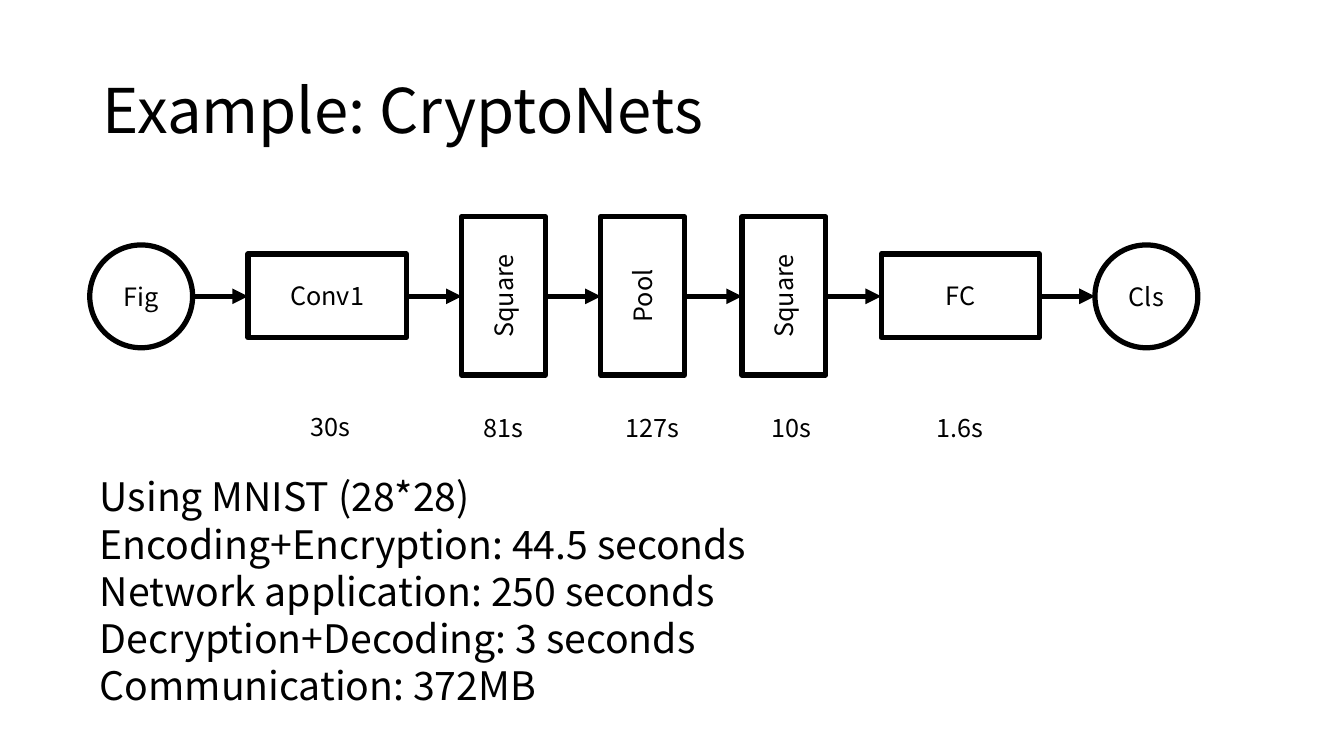
"""Build the CryptoNets timing slide."""
import itertools

import lxml.etree
import pptx
import pptx.dml.color
import pptx.enum.shapes
import pptx.enum.text
import pptx.oxml.ns
import pptx.util

BLACK = pptx.dml.color.RGBColor(0x00, 0x00, 0x00)
WHITE = pptx.dml.color.RGBColor(0xFF, 0xFF, 0xFF)
SHAPES = pptx.enum.shapes.MSO_SHAPE
ALIGN = pptx.enum.text.PP_ALIGN
ANCHOR = pptx.enum.text.MSO_ANCHOR
FIT = pptx.enum.text.MSO_AUTO_SIZE

AXIS_Y = 294
CIRCLE = 102
LONG, SHORT = 157, 83
NODES = [
    ("Fig", "circle", 89),
    ("Conv1", "wide", 246),
    ("Square", "tall", 458),
    ("Pool", "tall", 596),
    ("Square", "tall", 736),
    ("FC", "wide", 874),
    ("Cls", "circle", 1086),
]
WIDTHS = {"circle": CIRCLE, "wide": LONG, "tall": SHORT}
SITES = {"wide": (1, 3), "tall": (0, 2)}
TIMES = [
    ("30s", 255, 403, 145),
    ("81s", 427, 404, 145),
    ("127s", 599, 404, 96),
    ("10s", 712, 404, 145),
    ("1.6s", 880, 404, 145),
]
RESULTS = [
    "Using MNIST (28*28)",
    "Encoding+Encryption: 44.5 seconds",
    "Network application: 250 seconds",
    "Decryption+Decoding: 3 seconds",
    "Communication: 372MB",
]


def px(n):
    return pptx.util.Emu(n * 9144)


def write(tf, *lines, size=18, align=ALIGN.CENTER, anchor=ANCHOR.MIDDLE,
          spacing=None, fit=FIT.NONE, font="Noto Sans CJK SC"):
    tf.word_wrap = True
    tf.auto_size = fit
    tf.vertical_anchor = anchor
    for i, line in enumerate(lines):
        p = tf.add_paragraph() if i else tf.paragraphs[0]
        p.alignment = align
        p.space_before = pptx.util.Pt(0)
        if spacing:
            p.line_spacing = spacing
        r = p.add_run()
        r.text = line
        r.font.name = font
        r.font.size = pptx.util.Pt(size)
        r.font.color.rgb = BLACK


class Deck:
    def __init__(self):
        self.prs = pptx.Presentation()
        self.prs.slide_width = px(1333)
        self.prs.slide_height = px(750)
        self.line_width = pptx.util.Pt(3.75)
        self.slide = self.prs.slides.add_slide(self.prs.slide_layouts[1])

    def place(self, sp, left, top, width, height):
        sp.left, sp.top = px(left), px(top)
        sp.width, sp.height = px(width), px(height)

    def title(self, text, *box):
        sp = self.slide.shapes.title
        self.place(sp, *box)
        write(sp.text_frame, text, size=44, align=ALIGN.LEFT, spacing=0.9)

    def body(self, lines, *box):
        sp = self.slide.placeholders[1]
        self.place(sp, *box)
        write(sp.text_frame, *lines, size=28, align=ALIGN.LEFT,
              anchor=ANCHOR.TOP, fit=FIT.SHAPE_TO_FIT_TEXT)
        for p in sp.text_frame.paragraphs:
            pPr = p._p.get_or_add_pPr()
            pPr.set("marL", "0")
            pPr.set("indent", "0")
            lxml.etree.SubElement(pPr, pptx.oxml.ns.qn("a:buNone"))

    def node(self, text, kind, left):
        if kind == "circle":
            shape, top, width, height = SHAPES.OVAL, AXIS_Y - CIRCLE // 2, CIRCLE, CIRCLE
        else:
            shape, top, width, height = SHAPES.RECTANGLE, AXIS_Y - 42, LONG, SHORT
        left -= (width - WIDTHS[kind]) // 2
        sp = self.slide.shapes.add_shape(
            shape, px(left), px(top), px(width), px(height))
        sp.rotation = 270 if kind == "tall" else 0
        sp.shadow.inherit = False
        sp.fill.solid()
        sp.fill.fore_color.rgb = WHITE
        sp.line.color.rgb = BLACK
        sp.line.width = self.line_width
        write(sp.text_frame, text)
        return sp

    def arrow(self, x1, x2, start=None, end=None):
        cxn = self.slide.shapes.add_connector(
            pptx.enum.shapes.MSO_CONNECTOR.STRAIGHT,
            px(x1), px(AXIS_Y), px(x2), px(AXIS_Y))
        if start:
            cxn.begin_connect(*start)
        if end:
            cxn.end_connect(*end)
        cxn.begin_x, cxn.begin_y = px(x1), px(AXIS_Y)
        cxn.end_x, cxn.end_y = px(x2), px(AXIS_Y)
        cxn.line.color.rgb = BLACK
        cxn.line.width = self.line_width
        lxml.etree.SubElement(
            cxn.line._get_or_add_ln(), pptx.oxml.ns.qn("a:tailEnd"), type="triangle")
        lxml.etree.SubElement(
            cxn._element.spPr, pptx.oxml.ns.qn("a:effectLst"))

    def label(self, text, left, top, width):
        sp = self.slide.shapes.add_textbox(px(left), px(top), px(width), px(40))
        write(sp.text_frame, text, anchor=ANCHOR.TOP, fit=FIT.SHAPE_TO_FIT_TEXT)


def main():
    deck = Deck()
    deck.title("Example: CryptoNets", 92, 40, 1150, 145)
    deck.body(RESULTS, 89, 464, 666, 246)
    layers = [(deck.node(*node), *node[1:]) for node in NODES]
    for (sp1, kind1, left1), (sp2, kind2, left2) in itertools.pairwise(layers):
        start = (sp1, SITES[kind1][1]) if kind1 in SITES else None
        end = (sp2, SITES[kind2][0]) if kind2 in SITES else None
        deck.arrow(left1 + WIDTHS[kind1], left2, start, end)
    for time in TIMES:
        deck.label(*time)
    deck.prs.save("out.pptx")


if __name__ == "__main__":
    main()
